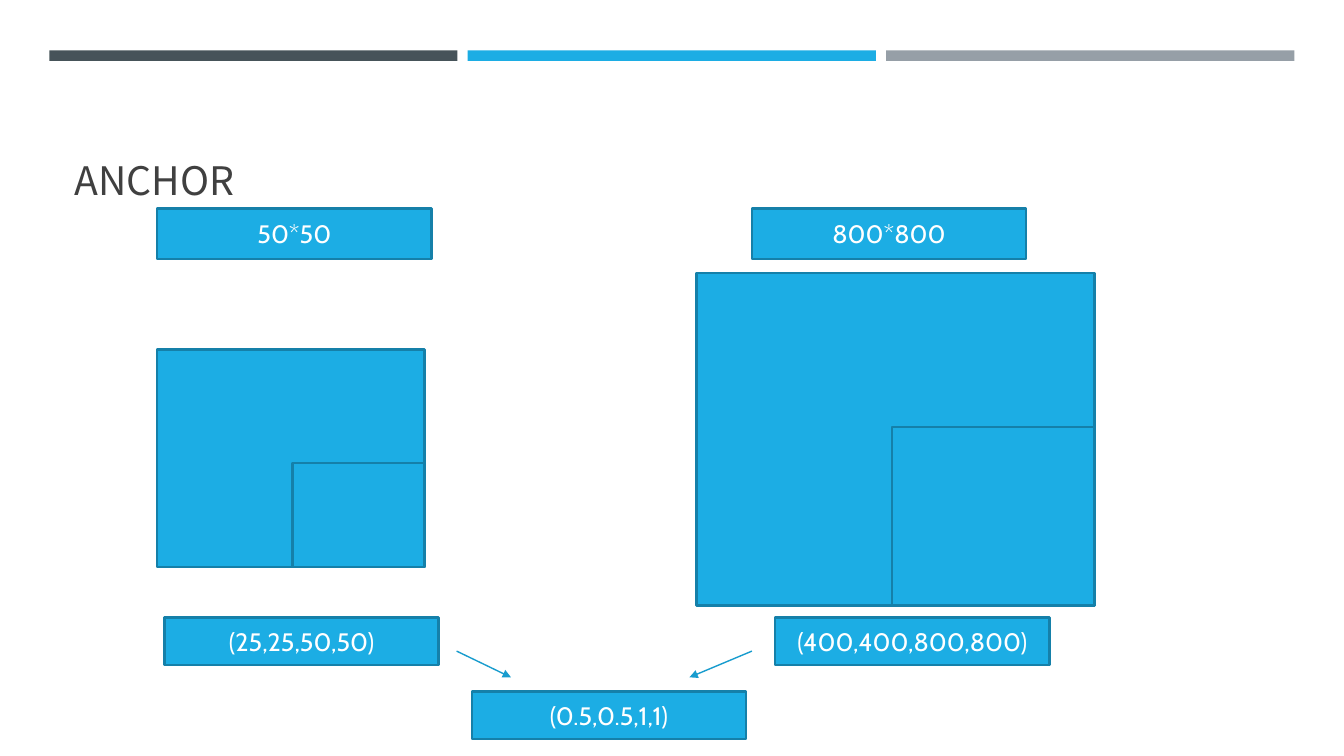
from lxml.etree import SubElement
from pptx import Presentation
from pptx.dml.color import RGBColor
from pptx.enum.shapes import MSO_CONNECTOR, MSO_SHAPE
from pptx.enum.text import MSO_ANCHOR, MSO_AUTO_SIZE, PP_ALIGN
from pptx.oxml.ns import qn
from pptx.util import Pt

COLORS = {"slate": "465359", "blue": "1CADE4", "gray": "969FA7",
          "edge": "1580A9", "arrow": "189CCE", "title": "404040", "white": "FFFFFF"}


def rgb(name):
    return RGBColor.from_string(COLORS[name])


class AnchorSlide:
    """Holds the slide and the style of its elements."""
    title_font = {"name": "Noto Sans CJK KR", "size": Pt(28), "bold": False}
    label_font = {"name": "Cabin", "size": Pt(18)}

    def __init__(self, deck):
        self.slide = deck.slides.add_slide(deck.slide_layouts[5])

    def put_text(self, shape, text, font, color, align, anchor):
        frame = shape.text_frame
        frame_format = {"word_wrap": True, "auto_size": MSO_AUTO_SIZE.NONE,
                        "vertical_anchor": anchor}
        for name, value in frame_format.items():
            setattr(frame, name, value)
        paragraph = frame.paragraphs[0]
        paragraph.alignment = align
        run = paragraph.add_run()
        run.text = text
        for name, value in font.items():
            setattr(run.font, name, value)
        run.font.color.rgb = rgb(color)

    def title(self, text, left, top, width, height):
        heading = self.slide.shapes.title
        box = {"left": left, "top": top, "width": width, "height": height}
        for name, value in box.items():
            setattr(heading, name, Pt(value))
        self.put_text(heading, text, self.title_font, "title",
                      PP_ALIGN.LEFT, MSO_ANCHOR.BOTTOM)

    def rect(self, left, top, width, height, fill="blue", edge="edge"):
        box = self.slide.shapes.add_shape(
            MSO_SHAPE.RECTANGLE, Pt(left), Pt(top), Pt(width), Pt(height))
        box.shadow.inherit = False
        box.fill.solid()
        box.fill.fore_color.rgb = rgb(fill)
        if edge:
            box.line.color.rgb = rgb(edge)
            box.line.width = Pt(1.75)
        else:
            box.line.fill.background()
        return box

    def label(self, text, left, top, height):
        self.put_text(self.rect(left, top, 196, height), text, self.label_font,
                      "white", PP_ALIGN.CENTER, MSO_ANCHOR.MIDDLE)

    def image_with_anchor(self, left, top, size, anchor_size):
        """Draw an image area with its anchor flush in the lower right corner."""
        (width, height), (anchor_width, anchor_height) = size, anchor_size
        self.rect(left, top, width, height)
        self.rect(left + width - anchor_width, top + height - anchor_height,
                  anchor_width, anchor_height)

    def arrow(self, *ends):
        link = self.slide.shapes.add_connector(
            MSO_CONNECTOR.STRAIGHT, *(Pt(value) for value in ends))
        link.line.color.rgb = rgb("arrow")
        link.line.width = Pt(1)
        properties = link._element.spPr
        SubElement(properties.find(qn("a:ln")), qn("a:tailEnd"), type="triangle")
        SubElement(properties, qn("a:effectLst"))


def main():
    deck = Presentation()
    deck.slide_width, deck.slide_height = Pt(960), Pt(540)
    page = AnchorSlide(deck)

    # Header bars
    for column, color in enumerate(("slate", "blue", "gray")):
        page.rect(35.2 + 298.9 * column, 36, 291.6, 7.5, color, None)

    page.title("ANCHOR", 46.1, 55.4, 868.3, 93.6)

    # Small and large image, each with its anchor
    page.image_with_anchor(112.3, 249.6, (191, 155.5), (94.3, 74.5))
    page.image_with_anchor(497.5, 195, (284.4, 237.6), (144.7, 127.4))

    # Image sizes
    page.label("50*50", 112.3, 149, 36)
    page.label("800*800", 537.1, 149, 36)

    # Normalised and absolute coordinates
    page.label("(0.5,0.5,1,1)", 337, 493.9, 34)
    page.label("(25,25,50,50)", 117.4, 441.2, 34)
    page.label("(400,400,800,800)", 553.7, 441.2, 34)

    # Both anchors lead to the same normalised one
    page.arrow(326.2, 465.1, 365, 483.8)
    page.arrow(537.1, 465.1, 492.5, 483.8)

    deck.save("out.pptx")


if __name__ == "__main__":
    main()
